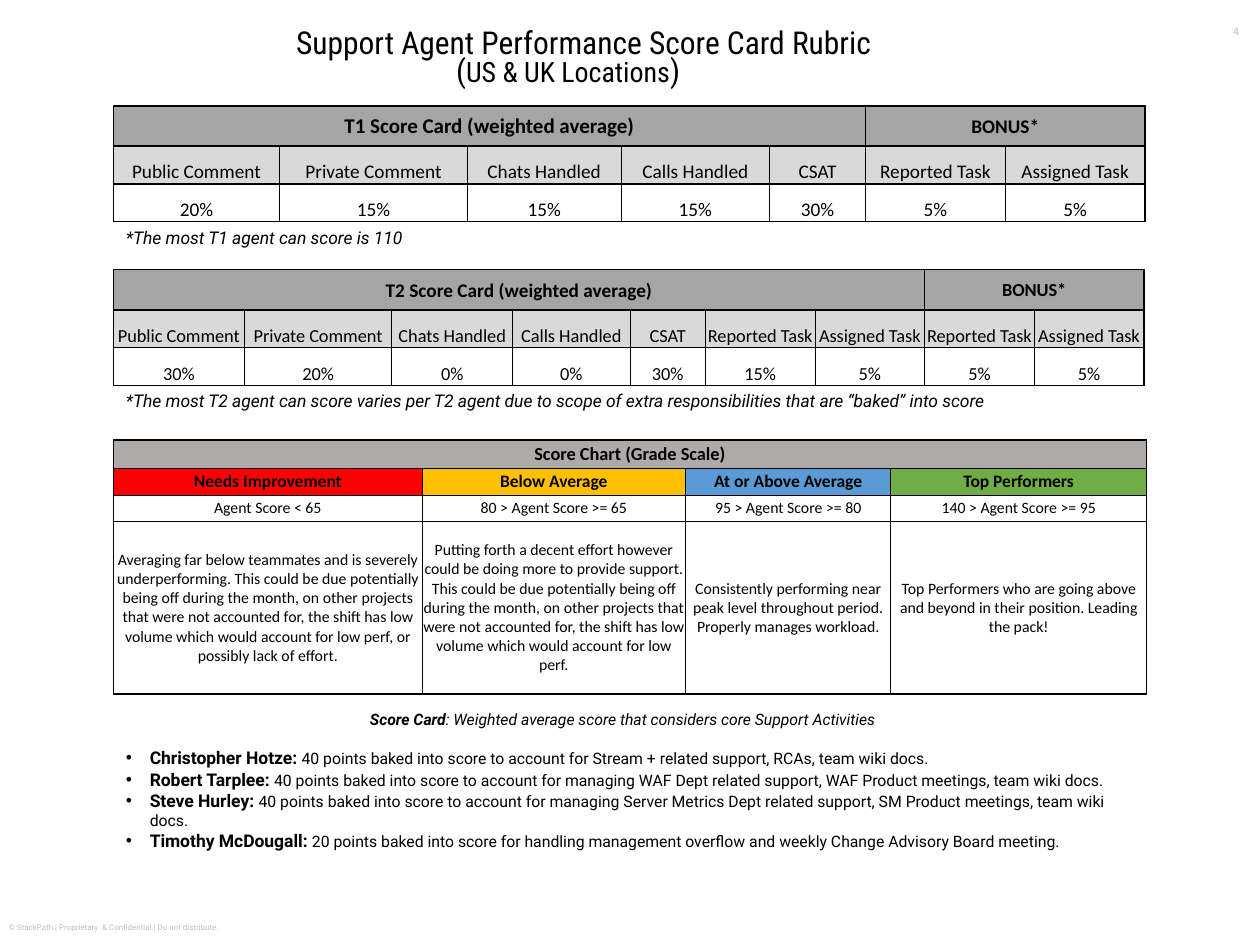
"""Build the support agent performance score card rubric slide."""
from lxml.etree import SubElement
from pptx import Presentation
from pptx.dml.color import RGBColor
from pptx.enum.text import MSO_ANCHOR as Anchor, MSO_AUTO_SIZE as AutoSize, PP_ALIGN as Align
from pptx.oxml.ns import qn
from pptx.util import Inches, Pt

BLACK, PALE, HEADER, LABEL = "000000", "BFBFBF", "A5A5A5", "D9D9D9"
HEAVY, LIGHT = 1, 0.5


def color(hex_code):
    return RGBColor.from_string(hex_code)


def set_font(font, name, size, hex_code=BLACK, bold=False, italic=False):
    font.name, font.size, font.bold, font.italic = name, Pt(size), bold, italic
    font.color.rgb = color(hex_code)


def indent(paragraph, left, first=0, bullet=None):
    properties = paragraph._p.get_or_add_pPr()
    properties.set("marL", str(Inches(left)))
    properties.set("indent", str(Inches(first)))
    if bullet:
        SubElement(properties, qn("a:buFont"), typeface="Arial")
        SubElement(properties, qn("a:buChar"), char=bullet)


def add_border(cell, side, width):
    line = SubElement(cell._tc.get_or_add_tcPr(), qn(f"a:ln{side}"), w=str(Pt(width)))
    SubElement(SubElement(line, qn("a:solidFill")), qn("a:srgbClr"), val=BLACK)


class RubricSlide:
    """Hold the fonts and current slide, and add each kind of element."""

    body_font, title_font, table_font = "Roboto", "Roboto Condensed", "Calibri"

    def __init__(self, presentation):
        self.slide = presentation.slides.add_slide(presentation.slide_layouts[5])

    def runs(self, paragraph, parts, name, italic=False):
        for text, size, bold in parts:
            run = paragraph.add_run()
            run.text = text
            set_font(run.font, name, size, bold=bold, italic=italic)

    def frame(self, box, inset=None, anchor=Anchor.TOP):
        frame = box.text_frame
        frame.word_wrap, frame.vertical_anchor = True, anchor
        if inset is not None:
            frame.margin_left = frame.margin_right = Inches(inset)
            frame.margin_top = frame.margin_bottom = Inches(inset)
        return frame

    def box(self, left, top, width, height):
        return self.slide.shapes.add_textbox(*map(Inches, (left, top, width, height)))

    def title(self, heading, subtitle):
        title = self.slide.shapes.title
        title.left, title.top = Inches(2.35), Inches(0.25)
        title.width, title.height = Inches(5.18), Inches(0.46)
        frame = self.frame(title, 0)
        frame.auto_size = AutoSize.NONE
        lines = frame.paragraphs[0], frame.add_paragraph()
        indent(lines[1], 1.27)
        for line, parts in zip(lines, (heading, subtitle)):
            line.alignment, line.line_spacing = Align.LEFT, 0.75
            self.runs(line, parts, self.title_font)

    def label(self, text, place, size, align=Align.LEFT):
        paragraph = self.frame(self.box(*place), 0, Anchor.MIDDLE).paragraphs[0]
        paragraph.text, paragraph.alignment = text, align
        set_font(paragraph.font, self.body_font, size, PALE)

    def footnote(self, text, top, width):
        frame = self.box(0.9, top, width, 0.27).text_frame
        frame.word_wrap, frame.auto_size = False, AutoSize.SHAPE_TO_FIT_TEXT
        frame.text = text
        set_font(frame.paragraphs[0].font, self.body_font, 10, italic=True)

    def adjustment_list(self, definition, adjustments):
        frame = self.frame(self.box(0.9, 5.58, 8.08, 1.25))
        lead = frame.paragraphs[0]
        lead.alignment, lead.space_after = Align.CENTER, Pt(11)
        self.runs(lead, definition, self.body_font, italic=True)
        for agent, reason in adjustments:
            item = frame.add_paragraph()
            indent(item, 0.19, -0.19, "•")
            self.runs(item, [(f"{agent}: ", 10, True), (reason, 9, False)], self.body_font)

    def cell(self, cell, text, size, bold, fill, anchor, inset):
        cell.margin_left = cell.margin_right = cell.margin_top = Inches(inset)
        cell.margin_bottom, cell.vertical_anchor = 0, anchor
        cell.text = text
        paragraph = cell.text_frame.paragraphs[0]
        paragraph.alignment = Align.CENTER
        set_font(paragraph.font, self.table_font, size, bold=bold)
        if fill:
            cell.fill.solid()
            cell.fill.fore_color.rgb = color(fill)
        else:
            cell.fill.background()

    def table(self, top, widths, heights, header, rows, heavy_lines, dividers=(),
              anchor=Anchor.MIDDLE, inset=0.0):
        """Draw header (text, span, size, fill) over rows (texts, size, bold, fills)."""
        count = len(widths)
        table = self.slide.shapes.add_table(len(heights), count, Inches(0.9), Inches(top),
                                            Inches(8.2), Inches(sum(heights))).table
        table.first_row = table.horz_banding = False
        for column, width in zip(table.columns, widths):
            column.width = Inches(width)
        for row, height in zip(table.rows, heights):
            row.height = Inches(height)

        def edge(row, column):
            return HEAVY if column in (0, count) or (row, column) in dividers else LIGHT

        def borders(row, column, span=1):
            cell = table.cell(row, column)
            if not cell.is_spanned:
                add_border(cell, "L", edge(row, column))
                add_border(cell, "R", edge(row, column + span))
            for side, line in (("T", row), ("B", row + 1)):
                add_border(cell, side, HEAVY if line in heavy_lines else LIGHT)

        start = 0
        for text, span, size, fill in header:
            origin = table.cell(0, start)
            origin.merge(table.cell(0, start + span - 1))
            for column in range(start, start + span):
                borders(0, column, span)
            self.cell(origin, text, size, True, fill, Anchor.MIDDLE, inset)
            start += span
        for row, (texts, size, bold, fills) in enumerate(rows, 1):
            for column, (text, fill) in enumerate(zip(texts, fills)):
                borders(row, column)
                self.cell(table.cell(row, column), text, size, bold, fill, anchor, inset)

    def score_card(self, top, widths, header, size, measures, weights, dividers):
        count = len(widths)
        rows = [(measures, size, False, [LABEL] * count),
                ([f"{weight}%" for weight in weights], size, False, [None] * count)]
        self.table(top, widths, [0.32, 0.3, 0.3], header, rows, range(4), dividers,
                   Anchor.BOTTOM, 0.01)


def main():
    presentation = Presentation()
    presentation.slide_width, presentation.slide_height = Inches(10), Inches(7.5)
    rubric = RubricSlide(presentation)
    rubric.title([("Support Agent Performance Score Card Rubric", 18, False)],
                 [("(", 18, False), ("US & UK Locations", 16, False), (")", 18, False)])
    rubric.label("© StackPath | Proprietary  & Confidential | Do not distribute.",
                 (0.07, 7.32, 3.38, 0.08), 4.5)
    rubric.label("4", (9.62, 0, 0.38, 0.5), 6, Align.CENTER)

    core = ["Public Comment", "Private Comment", "Chats Handled", "Calls Handled", "CSAT"]
    tickets = ["Reported Task", "Assigned Task"]
    rubric.score_card(
        0.84, [1.32, 1.49, 1.22, 1.18, 0.76, 1.11, 1.11],
        [("T1 Score Card (weighted average)", 5, 12, HEADER), ("BONUS*", 2, 11, HEADER)],
        11, core + tickets, [20, 15, 15, 15, 30, 5, 5], {(1, 5), (2, 5)})
    rubric.score_card(
        2.14, [1.04, 1.17, 0.96, 0.93, 0.6] + [0.87] * 4,
        [("T2 Score Card (weighted average)", 7, 11, HEADER), ("BONUS*", 2, 10.5, HEADER)],
        10.5, core + tickets * 2, [30, 20, 0, 0, 30, 15, 5, 5, 5], {(0, 7)})
    rubric.footnote("*The most T1 agent can score is 110", 1.75, 2.44)
    rubric.footnote("*The most T2 agent can score varies per T2 agent due to scope of extra "
                    "responsibilities that are “baked” into score", 3.05, 7.13)

    shared_cause = ("This could be due potentially being off during the month, on other projects "
                    "that were not accounted for, the shift has low volume which would account "
                    "for low perf")
    grades = [
        ("Needs Improvement", "FF0000", "Agent Score < 65",
         "Averaging far below teammates and is severely underperforming. "
         f"{shared_cause}, or possibly lack of effort."),
        ("Below Average", "FFC000", "80 > Agent Score >= 65",
         "Putting forth a decent effort however could be doing more to provide support. "
         f"{shared_cause}."),
        ("At or Above Average", "5B9BD5", "95 > Agent Score >= 80",
         "Consistently performing near peak level throughout period. "
         "Properly manages workload."),
        ("Top Performers", "70AD47", "140 > Agent Score >= 95",
         "Top Performers who are going above and beyond in their position. "
         "Leading the pack!"),
    ]
    names, fills, ranges, meanings = zip(*grades)
    rubric.table(3.49, [2.45, 2.09, 1.63, 2.03], [0.23, 0.21, 0.21, 1.37],
                 [("Score Chart (Grade Scale)", 4, 10.5, "AEAAAA")],
                 [(names, 10, True, fills), (ranges, 9, False, [None] * 4),
                  (meanings, 9, False, [None] * 4)], {0, 1, 4})

    baked = "40 points baked into score to account for"
    rubric.adjustment_list(
        [("Score Card", 9, True),
         (": Weighted average score that considers core Support Activities", 9, False)],
        [("Christopher Hotze", f"{baked} Stream + related support, RCAs, team wiki docs."),
         ("Robert Tarplee", f"{baked} managing WAF Dept related support, WAF Product meetings, "
                            "team wiki docs."),
         ("Steve Hurley", f"{baked} managing Server Metrics Dept related support, SM Product "
                          "meetings, team wiki docs."),
         ("Timothy McDougall", "20 points baked into score for handling management overflow and "
                               "weekly Change Advisory Board meeting.")])
    presentation.save("out.pptx")


if __name__ == "__main__":
    main()
